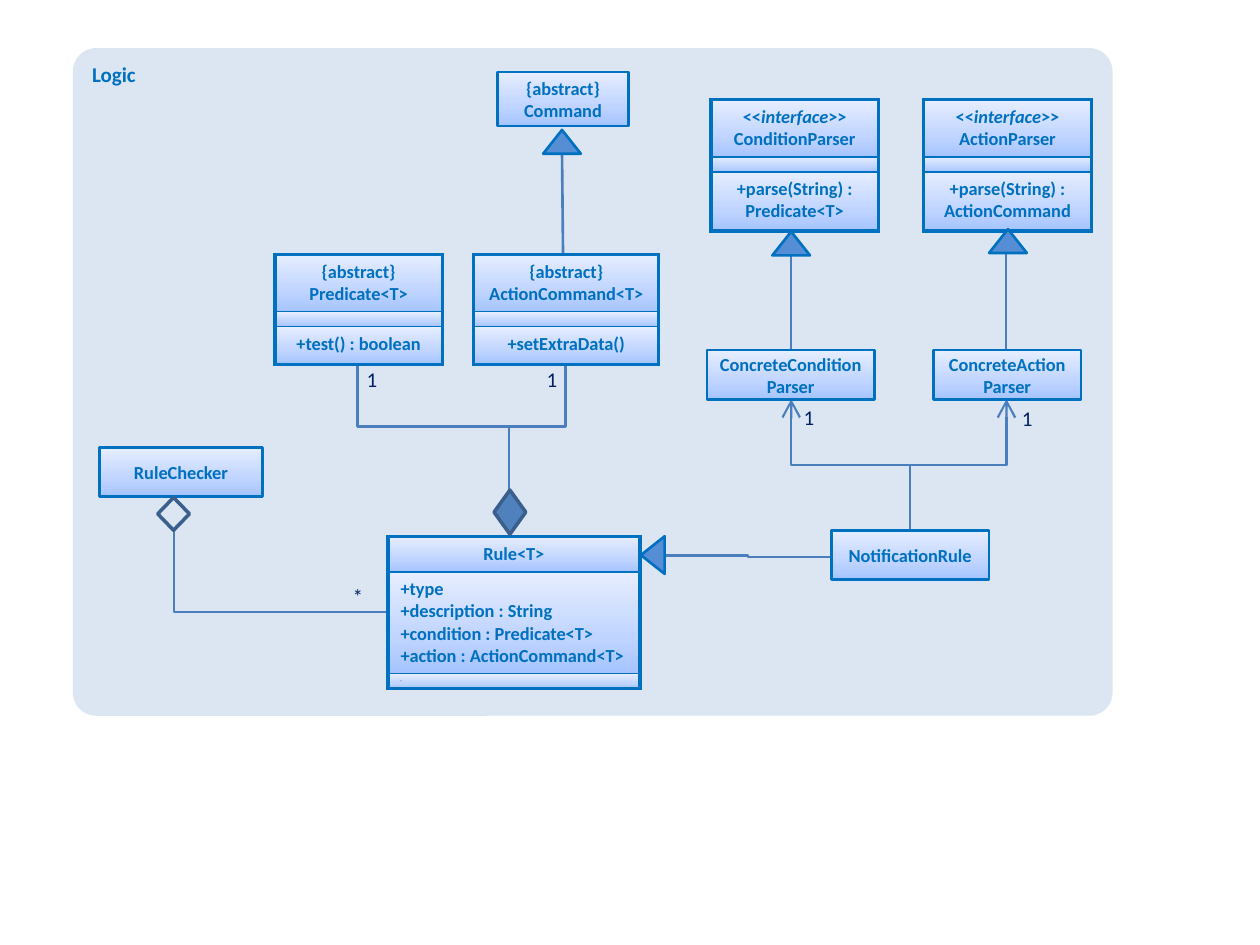
"""Build a UML class diagram of the Logic component."""
from copy import deepcopy
from typing import NamedTuple

from lxml import etree
from pptx import Presentation
from pptx.dml.color import RGBColor
from pptx.enum.shapes import MSO_CONNECTOR, MSO_SHAPE
from pptx.enum.text import MSO_ANCHOR, MSO_AUTO_SIZE, PP_ALIGN
from pptx.oxml.ns import qn
from pptx.util import Cm, Pt

RECTANGLE, ROUNDED = MSO_SHAPE.RECTANGLE, MSO_SHAPE.ROUNDED_RECTANGLE
TRIANGLE, DIAMOND = MSO_SHAPE.ISOSCELES_TRIANGLE, MSO_SHAPE.FLOWCHART_DECISION
ELBOW, STRAIGHT = MSO_CONNECTOR.ELBOW, MSO_CONNECTOR.STRAIGHT
LEFT, CENTER = PP_ALIGN.LEFT, PP_ALIGN.CENTER
TOP, MIDDLE = MSO_ANCHOR.TOP, MSO_ANCHOR.MIDDLE
FIT_SHAPE = MSO_AUTO_SIZE.SHAPE_TO_FIT_TEXT

BLUE = RGBColor(0x00, 0x70, 0xC0)
NAVY = RGBColor(0x00, 0x20, 0x60)
BLACK = RGBColor(0x00, 0x00, 0x00)
PALE_BLUE = RGBColor(0xDC, 0xE6, 0xF2)
ARROW_BLUE = RGBColor(0x55, 0x8E, 0xD5)
DIAMOND_BLUE = RGBColor(0x4F, 0x81, 0xBD)
DIAMOND_EDGE = RGBColor(0x3A, 0x5F, 0x8C)
LINK_BLUE = RGBColor(0x4B, 0x7E, 0xBC)
GRADIENT = (
    (0, RGBColor(0xA4, 0xC4, 0xFF)),
    (0.35, RGBColor(0xBF, 0xD4, 0xFF)),
    (1, RGBColor(0xE6, 0xEE, 0xFF)),
)
FONT = "Calibri"
INTERFACE = "interface"


class ClassBox(NamedTuple):
    left: float
    top: float
    width: float
    height: float
    lines: tuple


class ClassTable(NamedTuple):
    left: float
    top: float
    width: float
    heights: tuple
    title: tuple
    attributes: tuple
    operations: tuple


class Link(NamedTuple):
    start: tuple
    end: tuple
    width: float = 1.25
    kind: str = "vertical"
    arrow: bool = False


class Marker(NamedTuple):
    preset: int
    left: float
    top: float
    width: float
    height: float
    rotation: int = 0
    hollow: bool = False


class Label(NamedTuple):
    left: float
    top: float
    text: str
    width: float = 0.56


BOXES = (
    ClassBox(10.03, 1.45, 2.64, 1.09, ("{abstract}", "Command")),
    ClassBox(2.01, 9.02, 3.28, 0.99, ("RuleChecker",)),
    ClassBox(14.25, 7.06, 3.38, 0.99, ("ConcreteConditionParser",)),
    ClassBox(18.82, 7.06, 2.97, 0.99, ("ConcreteActionParser",)),
    ClassBox(16.76, 10.69, 3.18, 0.99, ("NotificationRule",)),
)
PARSER_ROWS, ABSTRACT_ROWS = (1.15, 0.3, 1.19), (1.15, 0.3, 0.76)
TABLES = (
    ClassTable(14.33, 2.01, 3.38, PARSER_ROWS, ("<<interface>>", "ConditionParser"),
               (), ("+parse(String) : Predicate<T>",)),
    ClassTable(18.62, 2.01, 3.38, PARSER_ROWS, ("<<interface>>", "ActionParser"),
               (), ("+parse(String) : ActionCommand",)),
    ClassTable(9.55, 5.13, 3.73, ABSTRACT_ROWS, ("{abstract}", "ActionCommand<T>"),
               (), ("+setExtraData()",)),
    ClassTable(5.54, 5.13, 3.38, ABSTRACT_ROWS, ("{abstract}", "Predicate<T>"),
               (), ("+test() : boolean",)),
    ClassTable(7.82, 10.82, 5.08, (0.71, 2.04, 0.3), ("Rule<T>",),
               ("+type", "+description : String", "+condition : Predicate<T>",
                "+action : ActionCommand<T>"), ("p",)),
)
LINKS = (
    Link((15.95, 5.16), (15.95, 7.06)),
    Link((20.29, 5.13), (20.29, 7.06)),
    Link((18.34, 10.69), (20.29, 8.05), arrow=True),
    Link((18.34, 10.69), (15.95, 8.05), arrow=True),
    Link((16.76, 11.23), (13.41, 11.2), kind="horizontal"),
    Link((10.26, 9.88), (11.4, 7.32), 1.5),
    Link((10.26, 9.88), (7.21, 7.32), 1.5),
    Link((11.35, 5.13), (11.33, 3.12), 1.5, "straight"),
    Link((3.51, 10.69), (7.82, 12.34), 1.5, "corner"),
)
MARKERS = (
    Marker(TRIANGLE, 15.57, 4.67, 0.76, 0.48),
    Marker(TRIANGLE, 19.94, 4.62, 0.76, 0.48),
    Marker(TRIANGLE, 10.95, 2.62, 0.76, 0.48),
    Marker(TRIANGLE, 12.78, 10.95, 0.76, 0.48, rotation=270),
    Marker(DIAMOND, 9.96, 9.88, 0.64, 0.89),
    Marker(DIAMOND, 3.18, 10.03, 0.64, 0.66, hollow=True),
)
LABELS = (
    Label(15.95, 8.03, "1"),
    Label(20.35, 8.05, "1", 0.81),
    Label(6.86, 11.63, "*"),
    Label(10.77, 7.26, "1"),
    Label(7.14, 7.26, "1"),
)


def write_lines(frame, lines: tuple, size: float, color: RGBColor = BLUE,
                bold: bool = True, align: int = CENTER) -> None:
    """Write one paragraph per line, with the interface keyword in italics."""
    for index, line in enumerate(lines):
        paragraph = frame.add_paragraph() if index else frame.paragraphs[0]
        paragraph.alignment = align
        for text in filter(None, line.partition(INTERFACE)):
            run = paragraph.add_run()
            run.text = text
            if text == INTERFACE:
                run.font.italic = True
        font = paragraph.font
        font.name, font.size, font.bold = FONT, Pt(size), bold
        font.color.rgb = color


def fill_gradient(fill, element) -> None:
    """Apply the three-stop class gradient, darkest at the bottom."""
    fill.gradient()
    fill.gradient_angle = 90
    stops = element.find(".//" + qn("a:gsLst"))
    stops.insert(1, deepcopy(stops[0]))
    for stop, (position, color) in zip(fill.gradient_stops, GRADIENT):
        stop.position = position
        stop.color.rgb = color


def add_plain_shape(slide, preset: int, *bounds: float):
    """Add a preset shape without a shadow."""
    shape = slide.shapes.add_shape(preset, *map(Cm, bounds))
    shape.shadow.inherit = False
    return shape


def draw_backdrop(slide) -> None:
    """Draw the rounded component panel and its name."""
    shape = add_plain_shape(slide, ROUNDED, 1.47, 0.97, 20.96, 13.46)
    shape.adjustments[0] = 0.035
    shape.fill.solid()
    shape.fill.fore_color.rgb = PALE_BLUE
    shape.line.fill.background()
    shape.text_frame.vertical_anchor = TOP
    write_lines(shape.text_frame, ("Logic",), 12, align=LEFT)


def draw_box(slide, box: ClassBox) -> None:
    """Draw a class as a single gradient box."""
    shape = add_plain_shape(slide, RECTANGLE, *box[:4])
    fill_gradient(shape.fill, shape._element)
    shape.line.color.rgb, shape.line.width = BLUE, Pt(1.5)
    frame = shape.text_frame
    frame.margin_left = frame.margin_right = Cm(0.23)
    frame.vertical_anchor = MIDDLE
    write_lines(frame, box.lines, 10.5)


def set_borders(cell, widths: dict) -> None:
    """Set the width in points of each side of a cell."""
    properties = cell._tc.get_or_add_tcPr()
    for side, width in widths.items():
        line = etree.SubElement(properties, qn(f"a:ln{side}"), w=str(Pt(width)))
        solid = etree.SubElement(line, qn("a:solidFill"))
        etree.SubElement(solid, qn("a:srgbClr"), val=str(BLUE))


def draw_table(slide, item: ClassTable) -> None:
    """Draw a class as a table of title, attributes and operations."""
    bounds = map(Cm, (item.left, item.top, item.width, sum(item.heights)))
    table = slide.shapes.add_table(3, 1, *bounds).table
    table.first_row = table.horz_banding = False
    sections = (item.title, item.attributes, item.operations)
    for index, (height, lines) in enumerate(zip(item.heights, sections)):
        table.rows[index].height = Cm(height)
        cell = table.cell(index, 0)
        set_borders(cell, {"L": 2.25, "R": 2.25, "T": 1 if index else 2.25,
                           "B": 2.25 if index == 2 else 1})
        fill_gradient(cell.fill, cell._tc)
        if lines == ("p",):
            write_lines(cell.text_frame, lines, 1, BLACK, False, LEFT)
        elif lines:
            write_lines(cell.text_frame, lines, 10.5, align=LEFT if index == 1 else CENTER)
        else:
            cell.text_frame.paragraphs[0]._p.get_or_add_endParaRPr().set("sz", "100")


def draw_link(slide, link: Link) -> None:
    """Draw a connector; vertical and corner elbows are turned by 270 degrees."""
    (x1, y1), (x2, y2) = link.start, link.end
    turned = link.kind in ("vertical", "corner")
    if turned:
        middle_x, middle_y = (x1 + x2) / 2, (y1 + y2) / 2
        half_x, half_y = (x2 - x1) / 2, (y2 - y1) / 2
        x1, x2 = middle_x + half_y, middle_x - half_y
        y1, y2 = middle_y - half_x, middle_y + half_x
    preset = STRAIGHT if link.kind == "straight" else ELBOW
    connector = slide.shapes.add_connector(preset, *map(Cm, (x1, y1, x2, y2)))
    connector.line.color.rgb, connector.line.width = LINK_BLUE, Pt(link.width)
    properties = connector._element.spPr
    if turned:
        properties.find(qn("a:xfrm")).set("rot", "16200000")
    if link.kind == "corner":
        properties.find(qn("a:prstGeom")).set("prst", "bentConnector2")
    if link.arrow:
        etree.SubElement(properties.find(qn("a:ln")), qn("a:tailEnd"),
                         type="arrow", w="lg", len="lg")
    etree.SubElement(properties, qn("a:effectLst"))


def draw_marker(slide, marker: Marker) -> None:
    """Draw an inheritance triangle or an aggregation diamond."""
    shape = add_plain_shape(slide, marker.preset, *marker[1:5])
    shape.rotation = marker.rotation
    triangle = marker.preset == TRIANGLE
    if marker.hollow:
        shape.fill.background()
    else:
        shape.fill.solid()
        shape.fill.fore_color.rgb = ARROW_BLUE if triangle else DIAMOND_BLUE
    shape.line.color.rgb = BLUE if triangle else DIAMOND_EDGE
    shape.line.width = Pt(1.5 if triangle else 2)


def draw_label(slide, label: Label) -> None:
    """Write a multiplicity beside a connector."""
    bounds = map(Cm, (label.left, label.top, label.width, 0.76))
    frame = slide.shapes.add_textbox(*bounds).text_frame
    frame.word_wrap, frame.auto_size = True, FIT_SHAPE
    write_lines(frame, (label.text,), 12, NAVY, False, LEFT)


def main() -> None:
    """Build and save the diagram."""
    presentation = Presentation()
    presentation.slide_width, presentation.slide_height = Cm(25.4), Cm(19.05)
    slide = presentation.slides.add_slide(presentation.slide_layouts[6])
    draw_backdrop(slide)
    layers = ((draw_link, LINKS), (draw_box, BOXES), (draw_table, TABLES),
              (draw_marker, MARKERS), (draw_label, LABELS))
    for draw, items in layers:
        for item in items:
            draw(slide, item)
    presentation.save("out.pptx")


if __name__ == "__main__":
    main()
